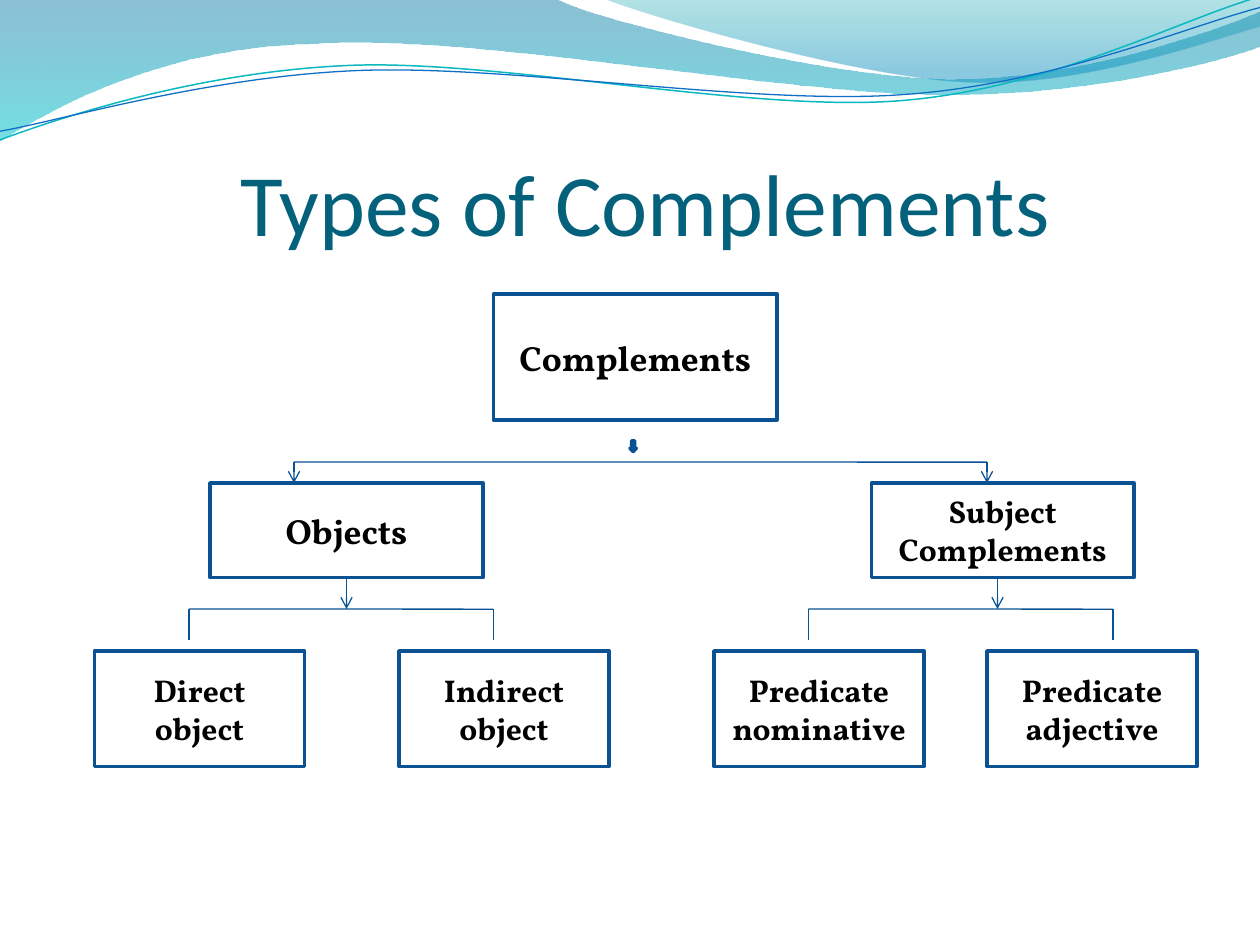
import lxml.etree
import pptx
import pptx.dml.color
import pptx.enum.shapes
import pptx.enum.text
import pptx.oxml.ns
import pptx.util
from dataclasses import dataclass

Pt = pptx.util.Pt
RGB = pptx.dml.color.RGBColor.from_string
qn = pptx.oxml.ns.qn
PP_ALIGN = pptx.enum.text.PP_ALIGN
ANCHOR = pptx.enum.text.MSO_ANCHOR
SHAPE = pptx.enum.shapes.MSO_SHAPE


@dataclass(frozen=True)
class Theme:
    title: str = "04617B"
    text: str = "000000"
    box: str = "FFFFFF"
    border: str = "0B5292"
    link: str = "095295"
    arrow: str = "0F6FC6"
    teal_line: str = "0AB8BF"
    title_font: str = "Calibri"
    box_font: str = "Vollkorn"
    title_size: float = 50
    large: float = 20
    small: float = 18


T = Theme()


def write(sp, text, size, font=T.box_font, color=T.text, bold=True,
          align=PP_ALIGN.CENTER, anchor=ANCHOR.MIDDLE):
    tf = sp.text_frame
    tf.word_wrap = True
    tf.vertical_anchor = anchor
    p = tf.paragraphs[0]
    p.alignment = align
    r = p.add_run()
    r.text = text
    r.font.name = font
    r.font.size = Pt(size)
    r.font.bold = bold
    r.font.color.rgb = RGB(color)
    return tf


def add_wave(s, start, segments, close):
    """Draw lines (x, y) and cubic curves (x1, y1, x2, y2, x, y) as one outline."""
    builder = s.shapes.build_freeform(*map(Pt, start))
    for seg in segments:
        points = [(Pt(x), Pt(y)) for x, y in zip(seg[::2], seg[1::2])]
        builder.add_line_segments(points, close=False)
    if close:
        builder.add_line_segments([], close=True)
    sp = builder.convert_to_shape()
    sp.shadow.inherit = False
    steps = iter(list(sp._element.iter(qn("a:lnTo"))))
    for seg in segments:
        first = next(steps)
        if len(seg) == 6:
            first.tag = qn("a:cubicBezTo")
            for _ in range(2):
                step = next(steps)
                first.append(step[0])
                step.getparent().remove(step)
    return sp


prs = pptx.Presentation()
prs.slide_width, prs.slide_height = Pt(720), Pt(540)
s = prs.slides.add_slide(prs.slide_layouts[6])

# Translucent bands: start, segments, gradient stops (position, colour, opacity %)
bands = [
    ((0, 0),
     [(317, -1), (343, 12, 478, 45, 546, 45), (614, 45, 690, 19, 720, 6.5),
      (721, 26), (708, 32, 626, 55, 537, 54), (448, 54, 275, 20, 185, 24.5),
      (93, 26, 33, 60, -1, 81), (0, 0)],
     [(0, "0074A1", 45), (1, "00C6CF", 55)]),
    ((345, -1),
     [(366, 8, 491, 45, 554, 47), (617, 50, 692, 23, 720, 15), (720, 0), (345, -1)],
     [(0, "00A1A9", 30), (0.8, "008BBF", 45)]),
]
for start, segments, stops in bands:
    sp = add_wave(s, start, segments, True)
    sp.line.fill.background()
    sp.fill.gradient()
    sp.fill.gradient_angle = 270
    for stop, (position, color, _) in zip(sp.fill.gradient_stops, stops):
        stop.position = position
        stop.color.rgb = RGB(color)
    for clr, (_, _, opacity) in zip(sp._element.spPr.iter(qn("a:srgbClr")), stops):
        lxml.etree.SubElement(clr, qn("a:alpha"), val=str(opacity * 1000))

# Thin wave lines, tilted slightly
waves = [
    ((-1.4, 63), [(33.8, 51.7, 114.1, 29.4, 199.8, 29.9),
                  (284.9, 30.3, 425.8, 67.3, 512.4, 64.9),
                  (599, 62.4, 676.5, 25.7, 720.2, 15.5)], T.teal_line, 0.85),
    ((-1.1, 58), [(32.9, 53.8, 118.3, 32.5, 204.1, 33),
                  (290.6, 33.4, 428.9, 63.8, 515.5, 61.4),
                  (601.3, 59.6, 679.1, 30.1, 721.4, 21.3)], T.arrow, 0.75),
]
for start, segments, color, width in waves:
    sp = add_wave(s, start, segments, False)
    sp.rotation = 357.3
    sp.fill.background()
    sp.line.color.rgb = RGB(color)
    sp.line.width = Pt(width)

title = s.shapes.add_textbox(Pt(36), Pt(55.4), Pt(648), Pt(90))
tf = write(title, "Types of Complements", T.title_size, font=T.title_font, color=T.title,
           bold=False, align=PP_ALIGN.LEFT, anchor=ANCHOR.BOTTOM)
tf.margin_left, tf.margin_right, tf.margin_bottom = Pt(101.7), 0, 0

# Tree nodes: text, size, left, top, width, height
nodes = [
    ("Complements", T.large, 282, 168, 162, 72),
    ("Objects", T.large, 120, 276, 156, 54),
    ("Subject Complements", T.small, 498, 276, 150, 54),
]
leaves = {"Direct object": 54, "Indirect object": 228,
          "Predicate nominative": 408, "Predicate adjective": 564}
nodes += [(text, T.small, x, 372, 120, 66) for text, x in leaves.items()]
shapes = [(SHAPE.RECTANGLE, T.box, *node) for node in nodes]
shapes.append((SHAPE.DOWN_ARROW, T.arrow, "", 0, 360, 252, 3.6, 6))
for kind, fill, text, size, *frame in shapes:
    sp = s.shapes.add_shape(kind, *map(Pt, frame))
    sp.shadow.inherit = False
    sp.fill.solid()
    sp.fill.fore_color.rgb = RGB(fill)
    sp.line.color.rgb = RGB(T.border)
    sp.line.width = Pt(2)
    if text:
        write(sp, text, size)

# Links: x1, y1, x2, y2, arrowhead
links = [(168, 264, 564, 264.1, False)]
links += [(x, 264, x, 276, True) for x in (168, 564)]
for stem, left, right in ((198, 108, 282), (570, 462, 636)):
    links.append((stem, 330, stem, 348, True))
    links.append((left, 348, right, 348.1, False))
    links += [(x, 348, x, 366, False) for x in (left, right)]
for *ends, arrowhead in links:
    c = s.shapes.add_connector(pptx.enum.shapes.MSO_CONNECTOR.STRAIGHT, *map(Pt, ends))
    c.line.color.rgb = RGB(T.link)
    c.line.width = Pt(0.75)
    if arrowhead:
        lxml.etree.SubElement(c.line._get_or_add_ln(), qn("a:tailEnd"), type="arrow")
    lxml.etree.SubElement(c._element.spPr, qn("a:effectLst"))

prs.save("out.pptx")
